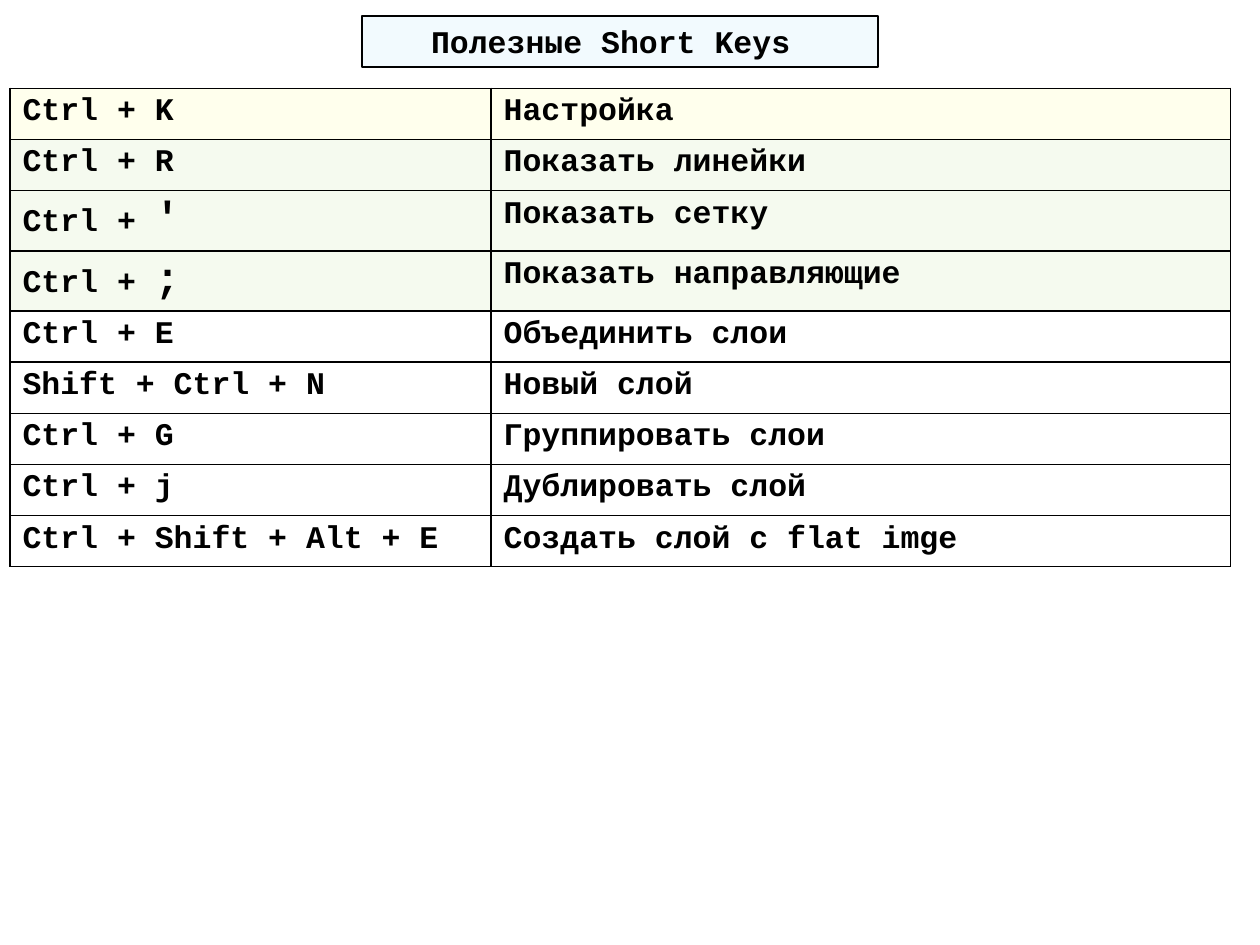
from dataclasses import dataclass

from lxml import etree
from pptx import Presentation
from pptx.dml.color import RGBColor
from pptx.enum.shapes import MSO_SHAPE
from pptx.enum.text import MSO_ANCHOR, PP_ALIGN
from pptx.oxml.ns import qn
from pptx.util import Cm, Pt

RECT = MSO_SHAPE.RECTANGLE
CENTER = PP_ALIGN.CENTER
MIDDLE = MSO_ANCHOR.MIDDLE


@dataclass(frozen=True)
class Theme:
    font: str = "Courier New"
    ink: str = "000000"
    title_fill: tuple = ("00B0F0", 5)   # colour, opacity in percent
    setup_fill: tuple = ("FFFF00", 7)
    view_fill: tuple = ("92D050", 9)
    body: int = 18
    mark: int = 24
    frame: float = 1.5
    grid: float = 1


class Deck:
    def __init__(self, prs, theme):
        self.theme = theme
        self.s = prs.slides.add_slide(prs.slide_layouts[6])

    def tint(self, fill, element, tint):
        color, opacity = tint
        fill.solid()
        fill.fore_color.rgb = RGBColor.from_string(color)
        clr = element.find(qn("a:solidFill")).find(qn("a:srgbClr"))
        etree.SubElement(clr, qn("a:alpha"), val=str(opacity * 1000))

    def style(self, r, size):
        r.font.name = self.theme.font
        r.font.size = Pt(size)
        r.font.bold = True
        r.font.color.rgb = RGBColor.from_string(self.theme.ink)

    def title(self, text, x, y, w, h):
        sp = self.s.shapes.add_shape(RECT, Cm(x), Cm(y), Cm(w), Cm(h))
        sp.shadow.inherit = False
        self.tint(sp.fill, sp._element.spPr, self.theme.title_fill)
        sp.line.color.rgb = RGBColor.from_string(self.theme.ink)
        sp.line.width = Pt(self.theme.frame)
        tf = sp.text_frame
        tf.word_wrap = True
        tf.vertical_anchor = MIDDLE
        tf.text = text
        p = tf.paragraphs[0]
        p.alignment = CENTER
        self.style(p.runs[0], self.theme.body)

    def borders(self, tc_pr):
        for side in ("a:lnL", "a:lnR", "a:lnT", "a:lnB"):
            ln = etree.SubElement(tc_pr, qn(side), w=str(Pt(self.theme.grid)))
            solid = etree.SubElement(ln, qn("a:solidFill"))
            etree.SubElement(solid, qn("a:srgbClr"), val=self.theme.ink)

    def cell(self, cell, parts, tint):
        p = cell.text_frame.paragraphs[0]
        for text, size in zip(parts, (self.theme.body, self.theme.mark)):
            r = p.add_run()
            r.text = text
            self.style(r, size)
        tc_pr = cell._tc.get_or_add_tcPr()
        self.borders(tc_pr)
        if tint:
            self.tint(cell.fill, tc_pr, tint)
        else:
            cell.fill.background()

    def table(self, rows, x, y, widths, row_h):
        frame = self.s.shapes.add_table(
            len(rows), len(widths), Cm(x), Cm(y),
            Cm(sum(widths)), Cm(row_h * len(rows)))
        table = frame.table
        table.first_row = table.horz_banding = False
        for column, width in zip(table.columns, widths):
            column.width = Cm(width)
        for i, (keys, action, tint) in enumerate(rows):
            table.rows[i].height = Cm(row_h)
            self.cell(table.cell(i, 0), keys, tint)
            self.cell(table.cell(i, 1), [action], tint)


theme = Theme()
prs = Presentation()
prs.slide_width, prs.slide_height = Cm(25.4), Cm(19.05)
deck = Deck(prs, theme)

# Heading
deck.title("Полезные Short Keys ", 7.3, 0.32, 10.4, 1.03)

# Shortcuts: key parts (a second part is set larger), action, row tint
shortcuts = [
    (["Ctrl + K"], "Настройка", theme.setup_fill),
    (["Ctrl + R"], "Показать линейки", theme.view_fill),
    (["Ctrl + ", "'"], "Показать сетку", theme.view_fill),
    (["Ctrl + ", ";"], "Показать направляющие", theme.view_fill),
    (["Ctrl + E"], "Объединить слои", None),
    (["Shift + Ctrl + N"], "Новый слой", None),
    (["Ctrl + G"], "Группировать слои", None),
    (["Ctrl + j"], "Дублировать слой", None),
    (["Ctrl + Shift + Alt + E"], "Создать слой с flat imge", None),
]
deck.table(shortcuts, 0.2, 1.78, (9.7, 14.91), 1.03)

prs.save("out.pptx")
